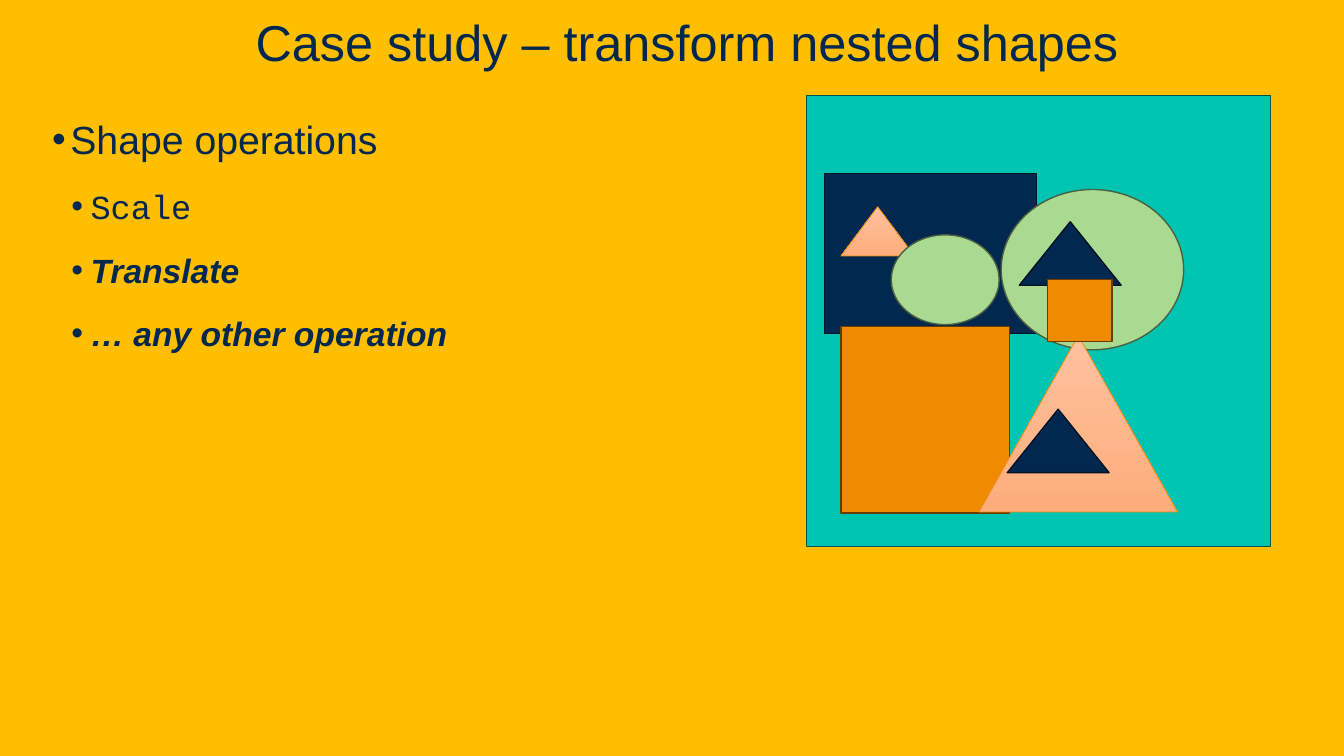
from dataclasses import dataclass

from lxml import etree
from pptx import Presentation
from pptx.dml.color import RGBColor
from pptx.enum.shapes import MSO_SHAPE
from pptx.enum.text import MSO_ANCHOR, PP_ALIGN
from pptx.oxml.ns import qn
from pptx.util import Inches, Pt

RECT = MSO_SHAPE.RECTANGLE
OVAL = MSO_SHAPE.OVAL
TRI = MSO_SHAPE.ISOSCELES_TRIANGLE
BOTTOM = MSO_ANCHOR.BOTTOM
CENTER = PP_ALIGN.CENTER


@dataclass(frozen=True)
class Theme:
    back: str = "FFBE00"
    ink: str = "022850"
    sans: str = "Arial"
    mono: str = "Courier New"
    title: int = 36
    head: int = 28
    item: int = 24


THEME = Theme()

STYLES = {
    "teal": (("00C4B2",), "00564E", 1),
    "navy": ((THEME.ink,), "011223", 1),
    "orange": (("F08A00",), "693C00", 1),
    "green": (("AADA91",), "4B6040", 1),
    "peach": (("FFC19E", "FDAD7C"), "F08A00", 0.5),
}

SHAPES = [
    (RECT, "teal", 0, 0, 4.6, 4.47),
    (RECT, "navy", 0.18, 0.77, 2.1, 1.59),
    (RECT, "orange", 0.34, 2.29, 1.67, 1.85),
    (OVAL, "green", 1.93, 0.93, 1.81, 1.59),
    (TRI, "peach", 1.71, 2.38, 1.97, 1.75),
    (TRI, "peach", 0.34, 1.1, 0.73, 0.49),
    (OVAL, "green", 0.84, 1.38, 1.07, 0.89),
    (TRI, "navy", 1.99, 3.11, 1.01, 0.63),
    (TRI, "navy", 2.11, 1.25, 1.01, 0.63),
    (RECT, "orange", 2.39, 1.82, 0.64, 0.62),
]

ITEMS = [
    ("Shape operations", 0, THEME.sans, False),
    ("Scale", 1, THEME.mono, False),
    ("Translate", 1, THEME.sans, True),
    ("… any other operation", 1, THEME.sans, True),
]


def color(code):
    return RGBColor.from_string(code)


def indent(para, left, first):
    props = para._p.get_or_add_pPr()
    props.set("marL", str(Inches(left)))
    props.set("indent", str(Inches(first)))
    return props


def set_font(para, name, size, strong=False):
    font = para.font
    font.name = name
    font.size = Pt(size)
    font.bold = font.italic = strong
    font.color.rgb = color(THEME.ink)


def add_title(slide, left, top, width, height):
    title = slide.shapes.title
    title.left, title.top = Inches(left), Inches(top)
    title.width, title.height = Inches(width), Inches(height)
    frame = title.text_frame
    frame.text = "Case study – transform nested shapes"
    frame.vertical_anchor = BOTTOM
    para = frame.paragraphs[0]
    para.alignment = CENTER
    indent(para, 0.3, 0)
    set_font(para, THEME.sans, THEME.title)


def add_list(slide, left, top, width, height):
    box = slide.shapes.add_textbox(
        Inches(left), Inches(top), Inches(width), Inches(height))
    frame = box.text_frame
    frame.word_wrap = True
    for i, (text, level, face, strong) in enumerate(ITEMS):
        para = frame.add_paragraph() if i else frame.paragraphs[0]
        para.text = text
        para.level = level
        props = indent(para, *((0.38, -0.19) if level else (0.18, -0.18)))
        etree.SubElement(props, qn("a:buFont"), typeface=THEME.sans)
        etree.SubElement(props, qn("a:buChar"), char="•")
        para.line_spacing = 1.2
        para.space_before = Pt(5 if i else 0)
        para.space_after = Pt(6)
        set_font(para, face, THEME.item if level else THEME.head, strong)


def paint(shape, style):
    fills, edge, weight = STYLES[style]
    shape.shadow.inherit = False
    if len(fills) == 1:
        shape.fill.solid()
        shape.fill.fore_color.rgb = color(fills[0])
    else:
        shape.fill.gradient()
        shape.fill.gradient_angle = 270
        for stop, code in zip(shape.fill.gradient_stops, fills):
            stop.color.rgb = color(code)
    shape.line.color.rgb = color(edge)
    shape.line.width = Pt(weight)


def add_scene(slide, left, top):
    for kind, style, x, y, width, height in SHAPES:
        shape = slide.shapes.add_shape(
            kind, Inches(left + x), Inches(top + y),
            Inches(width), Inches(height))
        paint(shape, style)


def main():
    deck = Presentation()
    deck.slide_width, deck.slide_height = Inches(13.33), Inches(7.5)
    slide = deck.slides.add_slide(deck.slide_layouts[5])
    slide.background.fill.solid()
    slide.background.fill.fore_color.rgb = color(THEME.back)
    add_title(slide, 0, 0, 13.33, 0.76)
    add_list(slide, 0.42, 1, 6.16, 5.38)
    add_scene(slide, 8, 0.95)
    deck.save("out.pptx")


if __name__ == "__main__":
    main()
